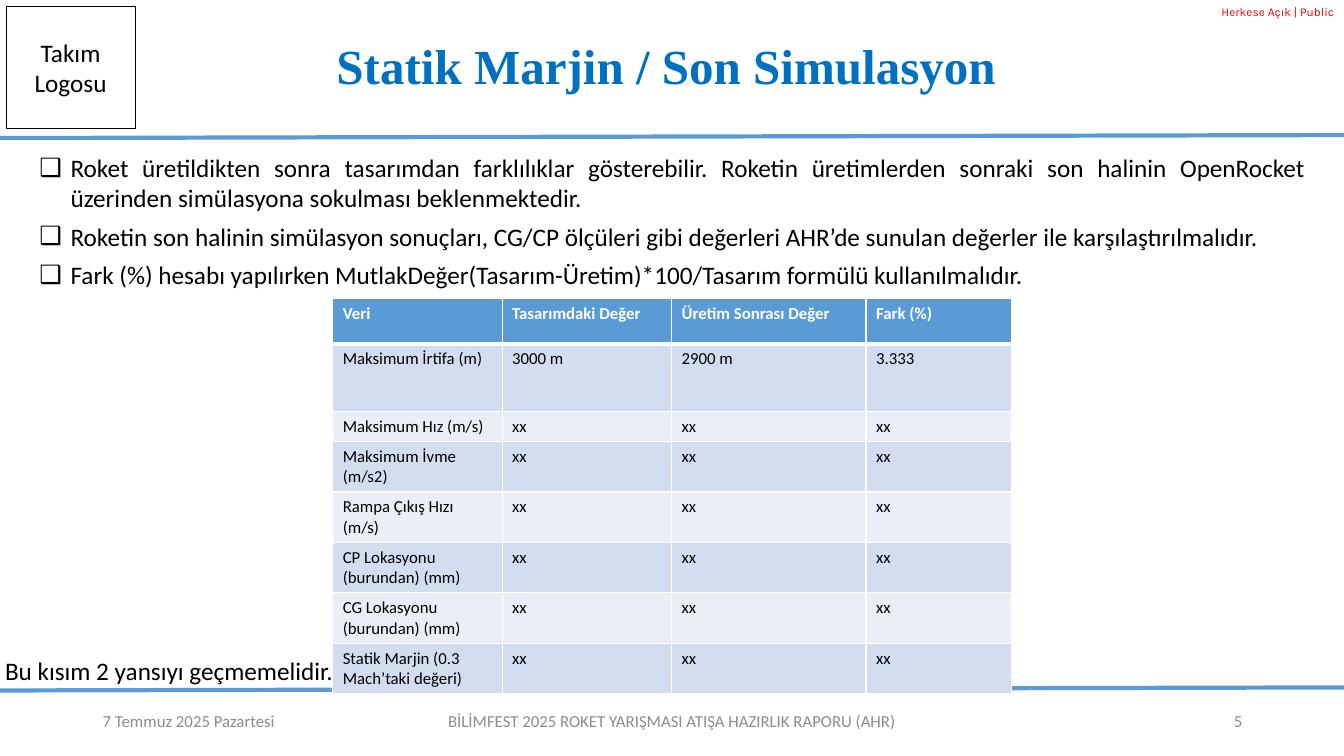
from dataclasses import dataclass
from typing import Optional

from lxml.etree import SubElement
from pptx import Presentation
from pptx.dml.color import RGBColor
from pptx.enum.shapes import MSO_CONNECTOR, MSO_SHAPE
from pptx.enum.text import MSO_ANCHOR, MSO_AUTO_SIZE, PP_ALIGN
from pptx.oxml import parse_xml
from pptx.oxml.ns import nsdecls, qn
from pptx.util import Inches, Pt


@dataclass(frozen=True)
class Theme:
    font: str = "Calibri"
    title_font: str = "Times New Roman"
    tag_font: str = "Karla"
    blue: str = "5B9BD5"
    title_blue: str = "0070C0"
    band_dark: str = "D2DEEF"
    band_light: str = "EAEFF7"
    black: str = "000000"
    white: str = "FFFFFF"
    grey: str = "8C8C8C"
    red: str = "FF0000"
    title_size: float = 35
    body_size: float = 18
    small_size: float = 12
    tag_size: float = 8.5


T = Theme()


@dataclass(frozen=True)
class Box:
    left: float
    top: float
    width: float
    height: float


@dataclass(frozen=True)
class Style:
    size: float = T.body_size
    color: str = T.black
    font: str = T.font
    bold: bool = False
    align: Optional[PP_ALIGN] = None


@dataclass(frozen=True)
class Label:
    box: Box
    text: str
    style: Style
    anchor: MSO_ANCHOR = MSO_ANCHOR.MIDDLE
    wrap: bool = True


def rgb(color: str) -> RGBColor:
    return RGBColor.from_string(color)


def place(shape, box: Box) -> None:
    shape.left, shape.top = Inches(box.left), Inches(box.top)
    shape.width, shape.height = Inches(box.width), Inches(box.height)


def format_text(tf, style: Style) -> None:
    for p in tf.paragraphs:
        if style.align is not None:
            p.alignment = style.align
        for r in p.runs:
            r.font.name, r.font.size = style.font, Pt(style.size)
            r.font.bold = style.bold
            r.font.color.rgb = rgb(style.color)


def add_label(s, label: Label) -> None:
    b = label.box
    tf = s.shapes.add_textbox(Inches(b.left), Inches(b.top),
                              Inches(b.width), Inches(b.height)).text_frame
    tf.word_wrap, tf.vertical_anchor = label.wrap, label.anchor
    tf.text = label.text
    format_text(tf, label.style)


def add_rule(s, left_y: float, right_y: float) -> None:
    line = s.shapes.add_connector(MSO_CONNECTOR.STRAIGHT, 0, Inches(left_y),
                                  Inches(13.33), Inches(right_y))
    line.line.color.rgb, line.line.width = rgb(T.blue), Pt(3)
    SubElement(line._element.spPr, qn("a:effectLst"))


def add_bullet(p, indent: float) -> None:
    pPr = p._p.get_or_add_pPr()
    pPr.set("marL", str(Inches(indent)))
    pPr.set("indent", str(-Inches(indent)))
    SubElement(pPr, qn("a:buChar")).set("char", "❑")


def set_borders(cell, bottom: float) -> None:
    tcPr = cell._tc.get_or_add_tcPr()
    for i, (side, width) in enumerate(zip("LRTB", (1, 1, 1, bottom))):
        tcPr.insert(i, parse_xml(
            f'<a:ln{side} {nsdecls("a")} w="{Pt(width)}"><a:solidFill>'
            f'<a:srgbClr val="{T.white}"/></a:solidFill></a:ln{side}>'))


def add_data_table(s, box: Box, cols: list[float], heights: list[float],
                   rows: list[list[str]]) -> None:
    table = s.shapes.add_table(len(rows), len(cols), Inches(box.left), Inches(box.top),
                               Inches(box.width), Inches(box.height)).table
    table.first_row = table.horz_banding = False
    for col, width in zip(table.columns, cols):
        col.width = Inches(width)
    for i, (row, height, texts) in enumerate(zip(table.rows, heights, rows)):
        row.height = Inches(height)
        header = i == 0
        fill = T.blue if header else T.band_dark if i % 2 else T.band_light
        style = Style(T.small_size, T.white if header else T.black, bold=header)
        for cell, text in zip(row.cells, texts):
            cell.text_frame.text = text
            format_text(cell.text_frame, style)
            cell.fill.solid()
            cell.fill.fore_color.rgb = rgb(fill)
            set_borders(cell, 3 if i == 0 else 1)


BULLETS = [
    "Roket üretildikten sonra tasarımdan farklılıklar gösterebilir. Roketin üretimlerden "
    "sonraki son halinin OpenRocket üzerinden simülasyona sokulması beklenmektedir.",
    "Roketin son halinin simülasyon sonuçları, CG/CP ölçüleri gibi değerleri AHR’de sunulan "
    "değerler ile karşılaştırılmalıdır.",
    "Fark (%) hesabı yapılırken MutlakDeğer(Tasarım-Üretim)*100/Tasarım formülü kullanılmalıdır.",
]
PENDING = ["Maksimum Hız (m/s)", "Maksimum İvme (m/s2)", "Rampa Çıkış Hızı (m/s)",
           "CP Lokasyonu (burundan) (mm)", "CG Lokasyonu (burundan) (mm)",
           "Statik Marjin (0.3 Mach’taki değeri)"]
ROWS = [["Veri", "Tasarımdaki Değer", "Üretim Sonrası Değer", "Fark (%)"],
        ["Maksimum İrtifa (m)", "3000 m", "2900 m", "3.333"],
        *([name] + ["xx"] * 3 for name in PENDING)]
FOOTER = Style(T.small_size, T.grey)
LABELS = [
    Label(Box(0, 0, 13.33, 0.24), "Herkese Açık |\u00a0Public",
          Style(T.tag_size, T.red, T.tag_font, align=PP_ALIGN.RIGHT), MSO_ANCHOR.TOP),
    Label(Box(-0.07, 6.45, 3.55, 0.4), "Bu kısım 2 yansıyı geçmemelidir. ",
          Style(align=PP_ALIGN.CENTER), MSO_ANCHOR.TOP, wrap=False),
    Label(Box(0.92, 6.95, 3, 0.4), "7 Temmuz 2025 Pazartesi", FOOTER),
    Label(Box(2.77, 6.95, 7.79, 0.4),
          "BİLİMFEST 2025 ROKET YARIŞMASI ATIŞA HAZIRLIK RAPORU (AHR)",
          Style(T.small_size, T.grey, align=PP_ALIGN.CENTER)),
    Label(Box(9.42, 6.95, 3, 0.4), "5",
          Style(T.small_size, T.grey, align=PP_ALIGN.RIGHT)),
]


def main() -> None:
    prs = Presentation()
    prs.slide_width, prs.slide_height = Inches(13.33), Inches(7.5)
    s = prs.slides.add_slide(prs.slide_layouts[1])

    # Title
    title = s.shapes.title
    place(title, Box(1.67, 0.27, 10, 0.82))
    tf = title.text_frame
    tf.text = "Statik Marjin / Son Simulasyon "
    tf.auto_size, tf.vertical_anchor = MSO_AUTO_SIZE.NONE, MSO_ANCHOR.MIDDLE
    tf.paragraphs[0].line_spacing = 0.9
    format_text(tf, Style(T.title_size, T.title_blue, T.title_font, True, PP_ALIGN.CENTER))

    # Bulleted instructions
    body = s.placeholders[1]
    place(body, Box(0.29, 1.46, 12.76, 1.87))
    tf = body.text_frame
    tf.text = "\n".join(BULLETS)
    tf.auto_size, tf.vertical_anchor = MSO_AUTO_SIZE.NONE, MSO_ANCHOR.TOP
    for p in tf.paragraphs:
        add_bullet(p, 0.31)
        p.space_before, p.space_after = Pt(0), Pt(6)
    format_text(tf, Style(align=PP_ALIGN.JUSTIFY))

    # Header and footer rules
    add_rule(s, 1.37, 1.34)
    add_rule(s, 6.85, 6.82)

    # Team logo frame
    logo = s.shapes.add_shape(MSO_SHAPE.RECTANGLE, Inches(0.06), Inches(0.06),
                              Inches(1.28), Inches(1.22))
    logo.shadow.inherit = False
    logo.fill.background()
    logo.line.color.rgb, logo.line.width = rgb(T.black), Pt(0.75)
    logo.text_frame.text = "Takım Logosu"
    logo.text_frame.vertical_anchor = MSO_ANCHOR.MIDDLE
    format_text(logo.text_frame, Style(align=PP_ALIGN.CENTER))

    # Tag, note and footer
    for label in LABELS:
        add_label(s, label)

    # Design versus production table
    add_data_table(s, Box(3.3, 2.96, 6.73, 3.93), [1.68, 1.68, 1.93, 1.44],
                   [0.45, 0.67, 0.29, 0.29] + [0.45] * 4, ROWS)

    prs.save("out.pptx")


if __name__ == "__main__":
    main()
